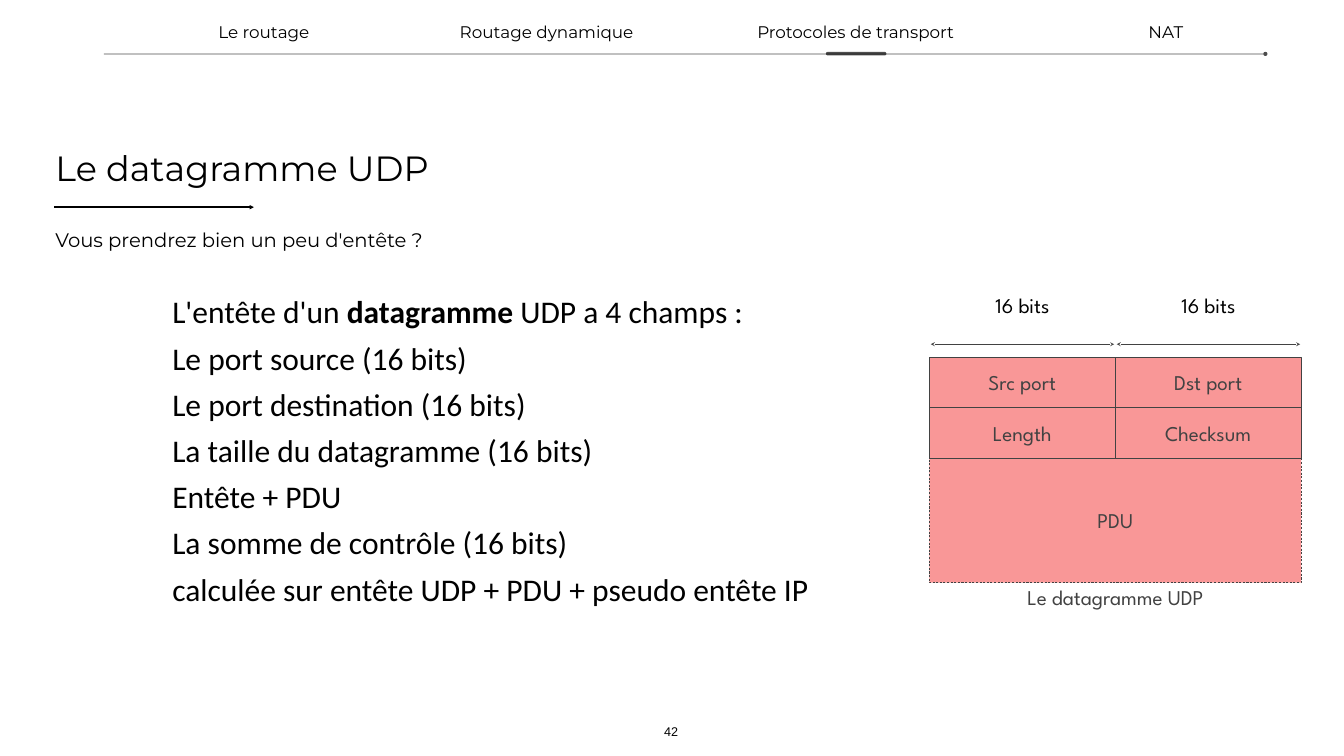
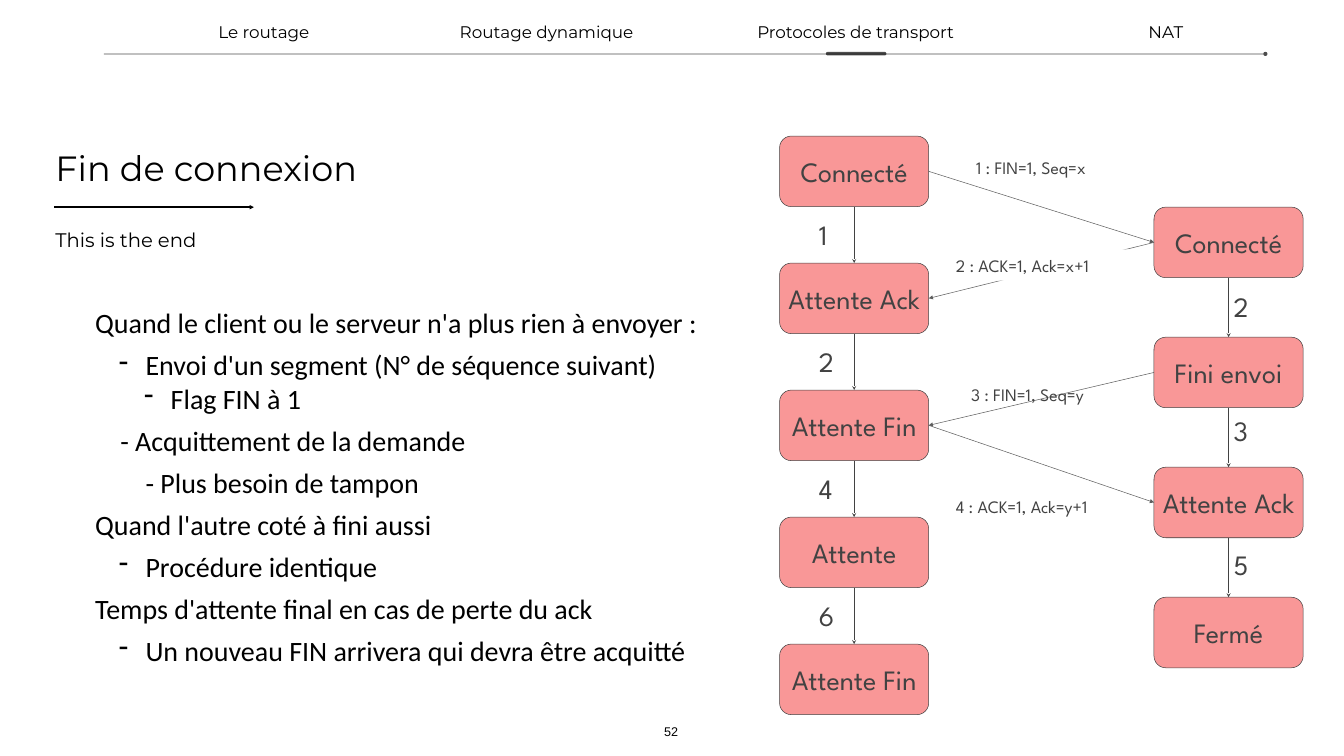
from dataclasses import dataclass
from itertools import pairwise

from lxml.etree import SubElement
from pptx import Presentation
from pptx.dml.color import RGBColor
from pptx.enum.dml import MSO_LINE
from pptx.enum.shapes import MSO_CONNECTOR, MSO_SHAPE
from pptx.enum.text import MSO_ANCHOR, MSO_AUTO_SIZE, PP_ALIGN
from pptx.oxml.ns import qn
from pptx.util import Inches, Pt

TOP, LEFT, BOTTOM, RIGHT = range(4)


@dataclass(frozen=True)
class Theme:
    black: str = "000000"
    white: str = "FFFFFF"
    gray: str = "424242"
    mid: str = "5E5E5E"
    pink: str = "F99797"
    head: str = "Montserrat"
    body: str = "Calibri"
    draw: str = "League Spartan"
    foot: str = "Arial"
    title: int = 50
    sub: int = 28
    nav: int = 24
    page: int = 18
    text: int = 45
    list: int = 40
    field: int = 30
    state: int = 40
    note: int = 25
    thin: float = 0.75


def put(item, **vals):
    for name, val in vals.items():
        setattr(item, name, val)


def fade(color, share):
    """Give a colour element the opacity share, in percent."""
    SubElement(color, qn("a:alpha"), val=str(share * 1000))


class Deck:
    def __init__(self, theme):
        self.theme = theme
        self.prs = Presentation()
        put(self.prs, slide_width=Inches(26.67), slide_height=Inches(15))
        self.slide = None

    def label(self, shape, paras, size, font, color=None, align=PP_ALIGN.LEFT,
              anchor=MSO_ANCHOR.TOP, inset=0.1, grow=False):
        """Fill a shape; each paragraph is a list of (text, bold) or a string."""
        frame = shape.text_frame
        gap = Inches(inset)
        fit = MSO_AUTO_SIZE.SHAPE_TO_FIT_TEXT if grow else MSO_AUTO_SIZE.NONE
        put(frame, word_wrap=True, auto_size=fit, vertical_anchor=anchor,
            margin_left=gap, margin_right=gap, margin_top=gap, margin_bottom=gap)
        for i, runs in enumerate(paras):
            para = frame.add_paragraph() if i else frame.paragraphs[0]
            para.alignment = align
            for words, bold in [(runs, False)] if isinstance(runs, str) else runs:
                run = para.add_run()
                run.text = words
                put(run.font, size=Pt(size), name=font, bold=bold)
                run.font.color.rgb = RGBColor.from_string(color or self.theme.black)
        return frame.paragraphs

    def text(self, at, paras, size, font, fill=None, **form):
        box = self.slide.shapes.add_textbox(*map(Inches, at))
        if fill:
            box.fill.solid()
            box.fill.fore_color.rgb = RGBColor.from_string(fill)
        return self.label(box, paras, size, font, **form)

    def box(self, at, words, size, kind=MSO_SHAPE.RECTANGLE, dash=None):
        theme = self.theme
        box = self.slide.shapes.add_shape(kind, *map(Inches, at))
        box.shadow.inherit = False
        box.fill.solid()
        box.fill.fore_color.rgb = RGBColor.from_string(theme.pink)
        box.line.color.rgb = RGBColor.from_string(theme.gray)
        put(box.line, width=Pt(theme.thin), dash_style=dash)
        self.label(box, [words], size, theme.draw, theme.gray,
                   PP_ALIGN.CENTER, MSO_ANCHOR.MIDDLE)
        return box

    def line(self, start, end, color, width, tail, head=None, alpha=None):
        """Draw a line; each end is a point or a (shape, side) pair."""
        loose = [isinstance(spot[0], (int, float)) for spot in (start, end)]
        spots = [*(start if loose[0] else (0, 0)), *(end if loose[1] else (0, 0))]
        line = self.slide.shapes.add_connector(
            MSO_CONNECTOR.STRAIGHT, *map(Inches, spots))
        if not loose[0]:
            line.begin_connect(*start)
        if not loose[1]:
            line.end_connect(*end)
        line.line.color.rgb = RGBColor.from_string(color)
        line.line.width = Pt(width)
        props = line.element.spPr
        edge = props.find(qn("a:ln"))
        if alpha:
            fade(edge.find(".//" + qn("a:srgbClr")), alpha)
        for tag, kind in (("a:headEnd", head), ("a:tailEnd", tail)):
            if kind:
                SubElement(edge, qn(tag), type=kind)
        SubElement(props, qn("a:effectLst"))

    def pill(self, at, alpha):
        mark = self.slide.shapes.add_shape(
            MSO_SHAPE.ROUNDED_RECTANGLE, *map(Inches, at))
        mark.adjustments[0] = 0.5
        mark.shadow.inherit = False
        mark.line.fill.background()
        mark.fill.solid()
        mark.fill.fore_color.rgb = RGBColor.from_string(self.theme.black)
        fade(mark.element.spPr.find(".//" + qn("a:srgbClr")), alpha)

    def page(self, title, sub, num):
        """Start a slide with its title, subtitle, navigation bar and number."""
        theme = self.theme
        self.slide = self.prs.slides.add_slide(self.prs.slide_layouts[5])
        form = {"inset": 0.06, "grow": True, "anchor": MSO_ANCHOR.MIDDLE}
        mid = {**form, "align": PP_ALIGN.CENTER}
        name = self.slide.shapes.title
        put(name, left=Inches(1.04), top=Inches(2.85),
            width=Inches(7.98), height=Inches(0.95))
        self.label(name, [title], theme.title, theme.head, **form)
        self.line((1.08, 4.11), (5.04, 4.11), theme.black, 2, "triangle")
        self.text((1.04, 4.46, 7.75, 0.58), [sub], theme.sub, theme.head, **form)
        self.text((13.07, 14.31, 0.5, 0.42), [num], theme.page, theme.foot,
                  **{**mid, "anchor": MSO_ANCHOR.BOTTOM})
        self.line((2.06, 1.07), (25.11, 1.07), theme.black, 1, "oval", alpha=70)
        for left, width, part in (
            (3.14, 4.19, "Le routage"),
            (8.87, 3.95, "Routage dynamique"),
            (14.35, 5.26, "Protocoles de transport"),
            (21.16, 3.95, "NAT"),
        ):
            self.text((left, 0.38, width, 0.52), [part], theme.nav, theme.head, **mid)
        self.pill((16.39, 1.03, 1.2, 0.07), 69)

    def bullet(self, para, sign):
        props = para._p.get_or_add_pPr()
        color = SubElement(props, qn("a:buClr"))
        SubElement(color, qn("a:srgbClr"), val=self.theme.black)
        SubElement(props, qn("a:buChar"), char=sign)

    def indent(self, para, left, first):
        props = para._p.get_or_add_pPr()
        for name, val in {"marL": left, "indent": first}.items():
            props.set(name, str(Inches(val)))


def datagram(deck):
    theme = deck.theme
    deck.page("Le datagramme UDP", "Vous prendrez bien un peu d'entête ?", "42")
    paras = deck.text((3.32, 5.7, 14.1, 6.71), [
        [("L'entête d'un ", False), ("datagramme ", True), ("UDP a 4 champs :", False)],
        "Le port source (16 bits)",
        "Le port destination (16 bits)",
        "La taille du datagramme (16 bits)",
        "Entête + PDU",
        "La somme de contrôle (16 bits)",
        "calculée sur entête UDP + PDU + pseudo entête IP",
    ], theme.text, theme.body)
    for para in paras:
        para.space_before = Pt(12)

    left, top, wide, high = 18.44, 7.09, 3.69, 1
    deck.box((left, top + 2 * high, 2 * wide, 2.47), "PDU", theme.field,
             dash=MSO_LINE.DASH)
    for row, names in enumerate((("Src port", "Dst port"), ("Length", "Checksum"))):
        for col, name in enumerate(names):
            deck.box((left + col * wide, top + row * high, wide, high),
                     name, theme.field)
    for col in range(2):
        x = left + col * wide
        deck.line((x + 0.03, 6.83), (x + 3.67, 6.83), theme.gray, theme.thin,
                  "stealth", head="stealth")
        deck.text((x + 0.96, 5.7, 1.78, 0.71), ["16 bits"], theme.field, theme.draw,
                  align=PP_ALIGN.CENTER, grow=True)
    deck.text((19.53, 11.49, 5.21, 0.71), ["Le datagramme UDP"], theme.field,
              theme.draw, color=theme.gray, align=PP_ALIGN.CENTER,
              anchor=MSO_ANCHOR.MIDDLE, grow=True)


def states(deck, left, top, step, names):
    """Stack the states of one host and join each to the next."""
    theme = deck.theme
    boxes = [deck.box((left, top + i * step, 2.96, 1.4), name, theme.state,
                      MSO_SHAPE.ROUNDED_RECTANGLE) for i, name in enumerate(names)]
    for one, two in pairwise(boxes):
        deck.line((one, BOTTOM), (two, TOP), theme.gray, theme.thin, "stealth")
    return boxes


def closing(deck):
    theme = deck.theme
    deck.page("Fin de connexion", "This is the end", "52")
    plain, dash = (0, 0, 12, ""), (1, -0.53, 12, "-")
    rows = (
        ("Quand le client ou le serveur n'a plus rien à envoyer :", plain),
        ("Envoi d'un segment (N° de séquence suivant)", dash),
        ("Flag FIN à 1", (1.5, -0.53, 0, "-")),
        ("- Acquittement de la demande", (0, 0.5, 12, "")),
        ("- Plus besoin de tampon", (0.5, 0.5, 12, "")),
        ("Quand l'autre coté à fini aussi", plain),
        ("Procédure identique", dash),
        ("Temps d'attente final en cas de perte du ack", plain),
        ("Un nouveau FIN arrivera qui devra être acquitté", dash),
    )
    paras = deck.text((1.79, 5.97, 13.14, 7.56), [row[0] for row in rows],
                      theme.list, theme.body)
    for para, (_, (left, first, space, sign)) in zip(paras, rows):
        put(para, space_before=Pt(space), level=int(left == 1.5))
        deck.indent(para, left, first)
        if sign:
            deck.bullet(para, sign)

    near = states(deck, 15.47, 2.7, 2.52,
                  ("Connecté", "Attente Ack", "Attente Fin", "Attente", "Attente Fin"))
    far = states(deck, 22.9, 4.11, 2.58,
                 ("Connecté", "Fini envoi", "Attente Ack", "Fermé"))
    form = {"color": theme.gray, "grow": True}
    steps = [(16.15, 4.22 + i * 2.52, num) for i, num in enumerate("1246")]
    steps += [(24.38, 5.65, "2"), (24.38, 8.11, "3"), (24.38, 10.77, "5")]
    for x, y, num in steps:
        deck.text((x, y, 0.81, 0.88), [num], theme.state, theme.draw, **form)

    for start, end in (
        ((near[0], RIGHT), (far[0], LEFT)),
        ((far[0], LEFT), (near[1], RIGHT)),
        ((far[1], LEFT), (near[2], RIGHT)),
        ((near[2], RIGHT), (far[2], LEFT)),
    ):
        deck.line(start, end, theme.mid, theme.thin, "triangle")
    for x, y, wide, words, fill in (
        (19.27, 3.02, 2.99, "1 : FIN=1, Seq=x", None),
        (18.87, 4.95, 3.6, "2 : ACK=1, Ack=x+1", theme.white),
        (19.17, 7.52, 2.99, "3 : FIN=1, Seq=y", None),
        (18.87, 9.74, 3.6, "4 : ACK=1, Ack=y+1", None),
    ):
        deck.text((x, y, wide, 0.62), [words], theme.note, theme.draw, fill, **form)


def main():
    deck = Deck(Theme())
    datagram(deck)
    closing(deck)
    deck.prs.save("out.pptx")


if __name__ == "__main__":
    main()
